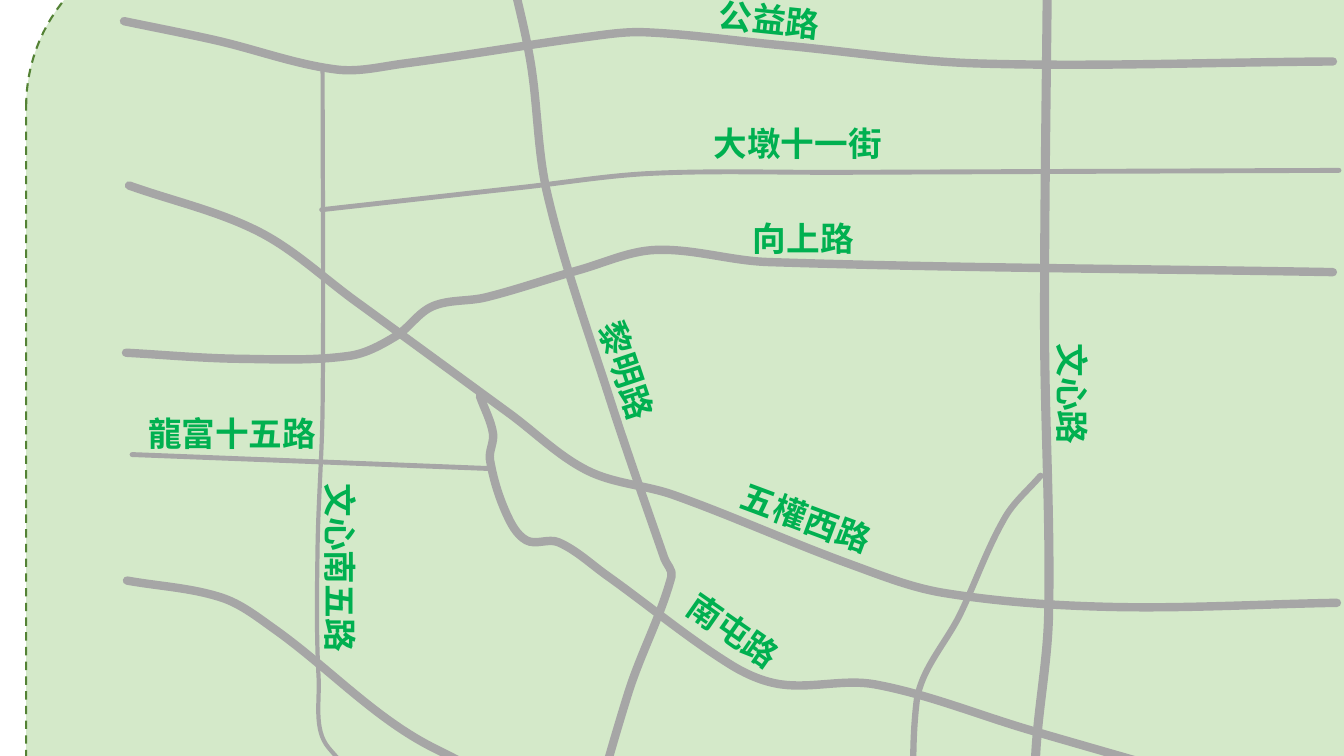
from dataclasses import dataclass
from lxml.etree import SubElement
from math import dist
from pptx import Presentation
from pptx.dml.color import RGBColor
from pptx.enum.dml import MSO_LINE
from pptx.enum.shapes import MSO_SHAPE
from pptx.enum.text import MSO_AUTO_SIZE
from pptx.oxml.ns import qn
from pptx.util import Cm, Pt


@dataclass(frozen=True)
class Theme:
    land: str = "D4E9C9"
    edge: str = "548235"
    road: str = "A6A6A6"
    name: str = "00B050"
    font: str = "Calibri"
    size: float = 24
    rim: float = 1.5
    lane: float = 3.5
    main: float = 6


THEME = Theme()
GRID = 2.54  # centimetres to one map square

# Line width, then the points that the road runs through
ROADS = [
    (THEME.main, [(1.23, 0.21), (2.14, 0.4), (3.34, 0.69), (4.01, 0.63), (5.8, 0.37),
                  (6.39, 0.32), (7.76, 0.45), (9.71, 0.63), (13.22, 0.61)]),
    (THEME.main, [(1.25, 3.5), (2.37, 3.56), (3.47, 3.53), (3.92, 3.34), (4.29, 3.04),
                  (4.82, 2.95), (5.74, 2.68), (6.5, 2.48), (7.62, 2.6), (13.22, 2.7)]),
    (THEME.main, [(1.28, 1.84), (2.57, 2.3), (3.53, 2.99), (5.05, 4.1), (5.83, 4.67),
                  (6.68, 4.91), (8.44, 5.6), (9.35, 5.88), (10.98, 6.02), (13.26, 5.98)]),
    (THEME.main, [(1.26, 5.76), (2.2, 5.93), (2.72, 6.24), (4.3, 7.42),
                  (7.29, 8.54), (13.23, 8.48)]),
    (4.5, [(9.15, 9.37), (9.09, 6.97), (9.53, 6.08), (9.97, 5.13), (10.32, 4.72)]),
    (6.5, [(10.39, -0.44), (10.36, 3.25), (10.4, 6.1), (10.27, 7.54), (10.27, 9.38)]),
    (THEME.main, [(5.02, -0.47), (5.26, 0.6), (5.43, 1.93), (6.05, 3.96), (6.59, 5.54),
                  (6.66, 5.72), (6.23, 6.88), (5.54, 9.31)]),
    (THEME.main, [(4.76, 3.93), (4.89, 4.3), (4.86, 4.56), (5.02, 5.09), (5.22, 5.36),
                  (5.54, 5.38), (6.02, 5.71), (7.24, 6.59), (7.75, 6.79), (8.68, 6.79),
                  (10.24, 7.25), (13.27, 8.12)]),
    (THEME.lane, [(1.31, 4.51), (4.89, 4.65)]),
    (3, [(3.2, 0.7), (3.2, 4.03), (3.15, 5.43), (3.16, 6.72), (3.26, 7.42), (5.4, 9.36)]),
    (THEME.lane, [(3.19, 2.08), (5.17, 1.86), (6.46, 1.72), (8.36, 1.71), (13.28, 1.69)]),
]

# Text, left, top, width, turn in degrees
NAMES = [
    ("公益路", 7.03, -0.04, 1.51, 6.1),
    ("黎明路", 5.58, 3.48, 1.32, 71.5),
    ("龍富十五路", 1.37, 4.05, 1.97, 0),
    ("文心路", 9.85, 3.85, 1.58, 90),
    ("向上路", 7.37, 2.11, 1.53, 0),
    ("大墩十一街", 6.98, 1.17, 2.11, 0),
    ("五權西路", 7.22, 4.97, 2, 20.5),
    ("南屯路", 6.64, 6.12, 1.62, 34.9),
    ("文心南五路", 2.34, 5.49, 2.08, 90),
]


def grid(*nums):
    """Turn map squares into slide lengths."""
    return [Cm(num * GRID) for num in nums]


def tint(color):
    return RGBColor.from_string(color)


def stroke(shape, color, width):
    shape.shadow.inherit = False
    shape.line.color.rgb = tint(color)
    shape.line.width = Pt(width)


def add_land(shapes):
    land = shapes.add_shape(MSO_SHAPE.ROUNDED_RECTANGLE, *grid(0.26, -0.61, 14.1, 9.99))
    land.fill.solid()
    land.fill.fore_color.rgb = tint(THEME.land)
    stroke(land, THEME.edge, THEME.rim)
    land.line.dash_style = MSO_LINE.DASH


def smooth(stops):
    """Give two handles and an end for each leg of a curve through the stops."""
    ends = [stops[0], *stops, stops[-1]]
    ways = []
    for (ax, ay), (bx, by) in zip(ends, ends[2:]):
        span = dist((ax, ay), (bx, by))
        ways.append(((bx - ax) / span, (by - ay) / span))
    points = []
    for i, (here, there) in enumerate(zip(stops, stops[1:])):
        reach = dist(here, there) / 3
        points += [[p + reach * w for p, w in zip(here, ways[i])],
                   [p - reach * w for p, w in zip(there, ways[i + 1])],
                   there]
    return points


def bend(road):
    """Join each three points of the outline into one curve."""
    track = road.element.find(".//" + qn("a:path"))
    nodes = track.findall(qn("a:lnTo"))
    for i, node in enumerate(nodes):
        if i % 3 == 0:
            curve = SubElement(track, qn("a:cubicBezTo"))
        curve.append(node[0])
        track.remove(node)


def add_road(shapes, width, stops):
    pen = shapes.build_freeform(*grid(*stops[0]))
    pen.add_line_segments([grid(*point) for point in smooth(stops)], close=False)
    road = pen.convert_to_shape()
    bend(road)
    road.fill.background()
    stroke(road, THEME.road, width)
    road.element.spPr.find(qn("a:ln")).set("cap", "rnd")


def add_text(shapes, text, left, top, width, *, height=0.5, turn=0,
             size=THEME.size, color=THEME.name, bold=True):
    box = shapes.add_textbox(*grid(left, top, width, height))
    box.rotation = turn
    frame = box.text_frame
    frame.word_wrap = True
    frame.auto_size = MSO_AUTO_SIZE.SHAPE_TO_FIT_TEXT
    run = frame.paragraphs[0].add_run()
    run.text = text
    run.font.name = THEME.font
    run.font.size = Pt(size)
    run.font.bold = bold
    run.font.color.rgb = tint(color)


def main():
    deck = Presentation()
    deck.slide_width, deck.slide_height = grid(13.33, 7.5)
    slide = deck.slides.add_slide(deck.slide_layouts[6])
    shapes = slide.shapes.add_group_shape().shapes
    add_land(shapes)
    for road in ROADS:
        add_road(shapes, *road)
    for *label, turn in NAMES:
        add_text(shapes, *label, turn=turn)
    deck.save("out.pptx")


if __name__ == "__main__":
    main()
